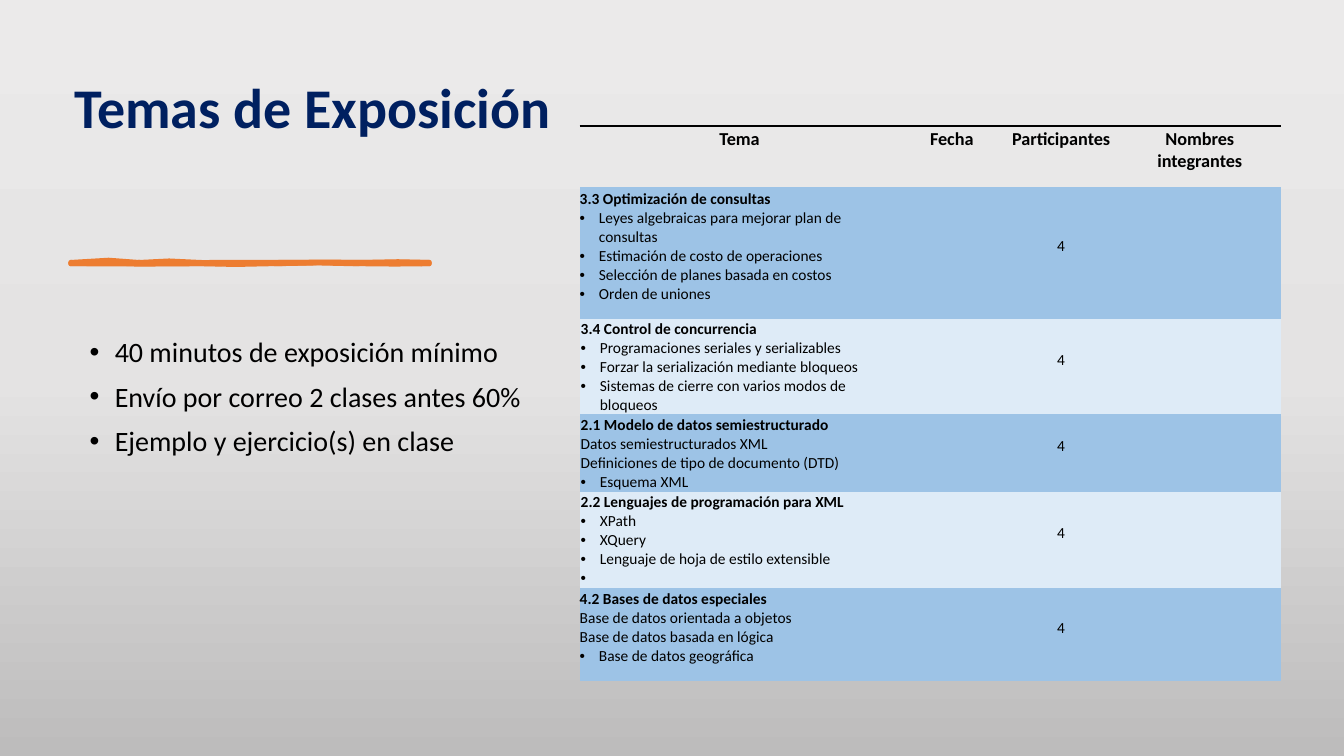
from copy import deepcopy

from lxml.etree import SubElement
from pptx import Presentation
from pptx.dml.color import RGBColor
from pptx.enum.text import MSO_ANCHOR, PP_ALIGN
from pptx.oxml import parse_xml
from pptx.oxml.ns import nsdecls, qn
from pptx.util import Inches, Pt

NAVY = RGBColor(0x00, 0x20, 0x60)
BLACK = RGBColor(0x00, 0x00, 0x00)
ORANGE = RGBColor(0xED, 0x7D, 0x31)
BLUE = RGBColor(0x9D, 0xC3, 0xE6)
PALE_BLUE = RGBColor(0xDE, 0xEB, 0xF7)
BACKGROUND = [(0, RGBColor(0xEB, 0xEA, 0xEA)), (0.5, RGBColor(0xE4, 0xE3, 0xE3)),
              (1, RGBColor(0xBD, 0xBC, 0xBC))]
PLAIN_TABLE = "{2D5ABB26-0587-4C30-8999-92F81FD0307C}"

TITLE = {"size": Pt(40), "bold": True, "color": NAVY}
BODY = {"size": Pt(20), "bold": False, "color": BLACK}
HEADER = {"size": Pt(13), "bold": True, "color": BLACK}
TOPIC = {"size": Pt(11), "bold": True, "color": BLACK}
DETAIL = {"size": Pt(11), "bold": False, "color": BLACK}
CENTERED = {"alignment": PP_ALIGN.CENTER}
BODY_SPACING = {"line_spacing": 0.9, "space_before": Pt(10)}

ROOMY = (0, 0.02, 0.05, 0.15)
TIGHT = (0.01, 0.01, 0.01, 0)
TOP, MIDDLE, BOTTOM = MSO_ANCHOR.TOP, MSO_ANCHOR.MIDDLE, MSO_ANCHOR.BOTTOM

COLUMN_WIDTHS = [3.22, 0.99, 1.18, 1.57]
HEADINGS = ["Tema", "Fecha", "Participantes", "Nombres integrantes"]
HEADER_HEIGHT = 0.61
TOPICS = [
    (1.3, TOP, ROOMY, "3.3 Optimización de consultas",
     ["Leyes algebraicas para mejorar plan de consultas", "Estimación de costo de operaciones",
      "Selección de planes basada en costos", "Orden de uniones"]),
    (0.95, BOTTOM, TIGHT, "3.4 Control de concurrencia",
     ["Programaciones seriales y serializables", "Forzar la serialización mediante bloqueos",
      "Sistemas de cierre con varios modos de bloqueos"]),
    (0.77, BOTTOM, TIGHT, "2.1 Modelo de datos semiestructurado",
     ["Datos semiestructurados XML\nDefiniciones de tipo de documento (DTD)\nEsquema XML"]),
    (0.95, BOTTOM, TIGHT, "2.2 Lenguajes de programación para XML",
     ["XPath", "XQuery", "Lenguaje de hoja de estilo extensible", " "]),
    (0.93, TOP, ROOMY, "4.2 Bases de datos especiales",
     ["Base de datos orientada a objetos\nBase de datos basada en lógica\n"
      "Base de datos geográfica"]),
]
STROKES = [
    [(0.7, 2.6), (0.97, 2.57), (1.21, 2.57), (1.38, 2.6), (1.55, 2.62), (1.77, 2.6), (2.09, 2.6),
     (2.41, 2.59), (2.6, 2.61), (2.84, 2.6), (3.08, 2.58), (3.39, 2.61), (3.59, 2.6),
     (3.79, 2.58), (4.12, 2.6), (4.26, 2.6), (4.26, 2.6), (4.26, 2.61), (4.26, 2.62),
     (4.08, 2.62), (3.64, 2.6), (3.48, 2.62), (3.32, 2.63), (3.04, 2.59), (2.7, 2.62),
     (2.35, 2.64), (2.31, 2.62), (1.99, 2.62), (1.66, 2.61), (1.32, 2.64), (0.7, 2.62)],
    [(0.7, 2.6), (1.02, 2.62), (1.1, 2.6), (1.38, 2.6), (1.66, 2.59), (1.69, 2.57), (1.99, 2.6),
     (2.28, 2.62), (2.61, 2.61), (2.77, 2.6), (2.93, 2.58), (3.27, 2.62), (3.44, 2.6),
     (3.62, 2.57), (3.97, 2.63), (4.26, 2.6), (4.26, 2.6), (4.26, 2.61), (4.26, 2.62),
     (4.12, 2.61), (3.72, 2.64), (3.55, 2.62), (3.38, 2.59), (3.09, 2.62), (2.77, 2.62),
     (2.44, 2.61), (2.4, 2.6), (2.16, 2.62), (1.93, 2.63), (1.79, 2.61), (1.45, 2.62),
     (1.11, 2.62), (0.92, 2.61), (0.7, 2.62)],
]


def curve_points(controls, steps=2):
    """Return points in EMU along a chain of cubic curves."""
    points = [tuple(Inches(value) for value in controls[0])]
    for index in range(0, len(controls) - 1, 3):
        for step in range(1, steps + 1):
            t = step / steps
            weights = ((1 - t) ** 3, 3 * t * (1 - t) ** 2, 3 * t * t * (1 - t), t ** 3)
            points.append(tuple(
                Inches(sum(weight * point[axis]
                           for weight, point in zip(weights, controls[index:index + 4])))
                for axis in (0, 1)))
    return points


class SlideBuilder:
    """Holds the font and the current slide, and adds elements to it."""

    def __init__(self, slide, font_name):
        self.slide = slide
        self.font_name = font_name

    def background(self, stops):
        fill = self.slide.background.fill
        fill.gradient()
        fill.gradient_angle = 270
        stop_list = self.slide._element.find(".//" + qn("a:gsLst"))
        while len(stop_list) < len(stops):
            stop_list.append(deepcopy(stop_list[0]))
        for stop, (position, color) in zip(fill.gradient_stops, stops):
            stop.position = position
            stop.color.rgb = color

    def paragraph(self, frame, text, style, layout=None, bullet_indent=None):
        paragraph = frame.paragraphs[0]
        first = not paragraph.runs
        if not first:
            paragraph = frame.add_paragraph()
        if bullet_indent:
            properties = paragraph._p.get_or_add_pPr()
            properties.set("marL", str(Inches(bullet_indent)))
            properties.set("indent", str(-Inches(bullet_indent)))
            SubElement(properties, qn("a:buFont"), typeface="Arial")
            SubElement(properties, qn("a:buChar"), char="•")
        for name, value in (layout or {}).items():
            if not (first and name == "space_before"):
                setattr(paragraph, name, value)
        run = paragraph.add_run()
        run.text = text
        run.font.name = self.font_name
        for name, value in style.items():
            if name == "color":
                run.font.color.rgb = value
            else:
                setattr(run.font, name, value)

    def text_box(self, box, anchor, lines, style, layout, bullet_indent=None):
        frame = self.slide.shapes.add_textbox(*map(Inches, box)).text_frame
        frame.word_wrap = True
        frame.vertical_anchor = anchor
        for line in lines:
            self.paragraph(frame, line, style, layout, bullet_indent)

    def brush_line(self, strokes, color, width):
        contours = [curve_points(stroke) for stroke in strokes]
        builder = self.slide.shapes.build_freeform(*contours[0][0], scale=1.0)
        for index, contour in enumerate(contours):
            if index:
                builder.move_to(*contour[0])
            builder.add_line_segments(contour[1:], close=True)
        shape = builder.convert_to_shape()
        shape.shadow.inherit = False
        shape.fill.solid()
        shape.fill.fore_color.rgb = color
        shape.line.color.rgb = color
        shape.line.width = width

    def cell(self, cell, anchor, margins):
        cell.vertical_anchor = anchor
        for side, margin in zip(("left", "top", "right", "bottom"), margins):
            setattr(cell, f"margin_{side}", Inches(margin))
        return cell.text_frame

    def topic_table(self, left, top):
        heights = [HEADER_HEIGHT] + [topic[0] for topic in TOPICS]
        table = self.slide.shapes.add_table(
            len(heights), len(COLUMN_WIDTHS), Inches(left), Inches(top),
            Inches(sum(COLUMN_WIDTHS)), Inches(sum(heights))).table
        table.first_row = table.horz_banding = False
        table._tbl.tblPr.find(qn("a:tableStyleId")).text = PLAIN_TABLE
        for column, width in zip(table.columns, COLUMN_WIDTHS):
            column.width = Inches(width)
        for row, height in zip(table.rows, heights):
            row.height = Inches(height)
        for cell, heading in zip(table.rows[0].cells, HEADINGS):
            self.paragraph(self.cell(cell, TOP, ROOMY), heading, HEADER, CENTERED)
            cell.fill.background()
            cell._tc.get_or_add_tcPr().insert(0, parse_xml(
                f'<a:lnT {nsdecls("a")} w="{Pt(2.25)}"><a:solidFill>'
                f'<a:srgbClr val="{BLACK}"/></a:solidFill></a:lnT>'))
        for index, (_, anchor, margins, topic, details) in enumerate(TOPICS):
            cells = table.rows[index + 1].cells
            for cell in cells:
                cell.fill.solid()
                cell.fill.fore_color.rgb = PALE_BLUE if index % 2 else BLUE
            frame = self.cell(cells[0], anchor, margins)
            self.paragraph(frame, topic, TOPIC)
            for detail in details:
                self.paragraph(frame, detail, DETAIL, bullet_indent=0.19)
            self.paragraph(self.cell(cells[2], MIDDLE, ROOMY), "4", DETAIL, CENTERED)


def main():
    presentation = Presentation()
    presentation.slide_width = Inches(13.33)
    presentation.slide_height = Inches(7.5)
    builder = SlideBuilder(
        presentation.slides.add_slide(presentation.slide_layouts[6]), "Calibri")
    builder.background(BACKGROUND)
    builder.text_box((0.64, 0.65, 5.26, 0.79), BOTTOM, ["Temas de Exposición"], TITLE,
                     {"line_spacing": 0.9})
    builder.brush_line(STROKES, ORANGE, Pt(3))
    builder.text_box((0.79, 3.31, 4.62, 3.15), TOP,
                     ["40 minutos de exposición mínimo", "Envío por correo 2 clases antes 60%",
                      "Ejemplo y ejercicio(s) en clase"], BODY, BODY_SPACING, 0.25)
    builder.topic_table(5.75, 1.25)
    presentation.save("out.pptx")


if __name__ == "__main__":
    main()
